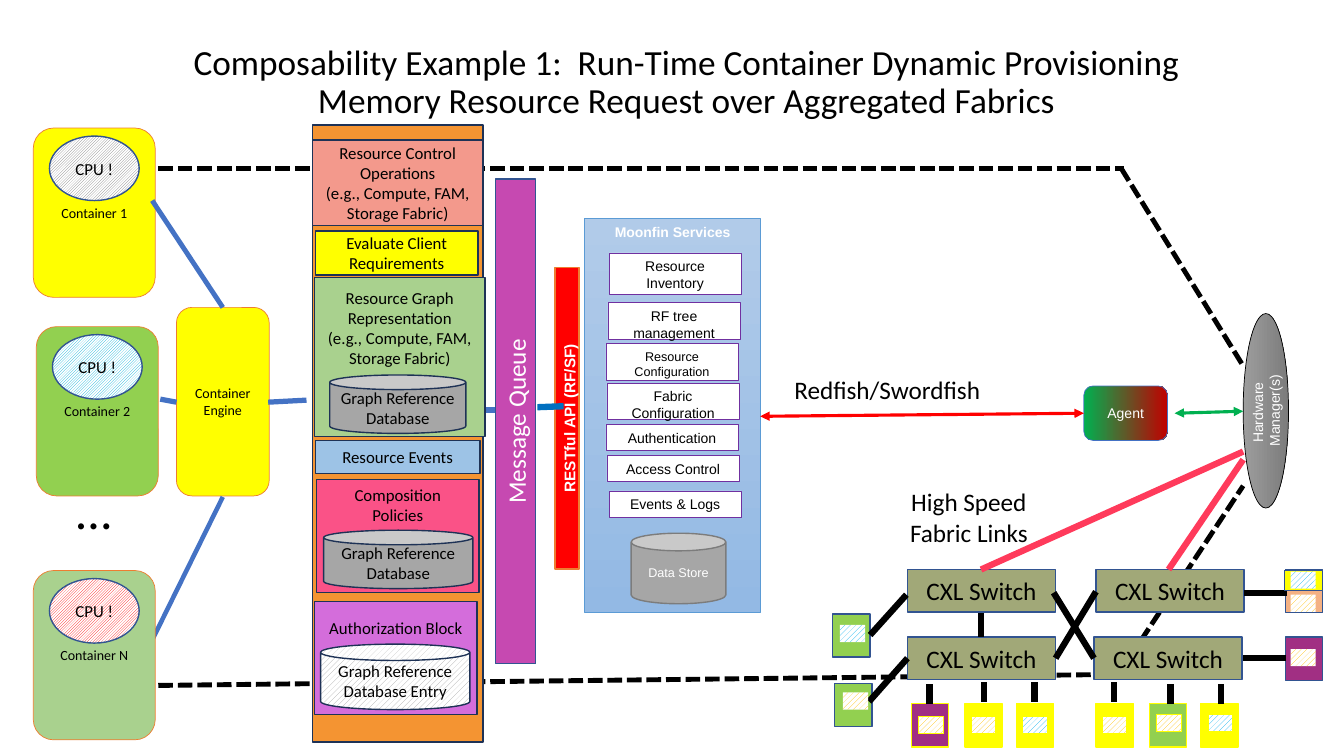
from lxml import etree
from pptx import Presentation
from pptx import util as u
from pptx.dml.color import RGBColor
from pptx.enum import dml, shapes, text
from pptx.oxml import ns

BLACK = RGBColor(0x00, 0x00, 0x00)
WHITE = RGBColor(0xFF, 0xFF, 0xFF)
YELLOW = RGBColor(0xFF, 0xFF, 0x00)
LIME = RGBColor(0x92, 0xD0, 0x50)
SAGE = RGBColor(0xA9, 0xD1, 0x8E)
GREEN = RGBColor(0x00, 0xB0, 0x50)
RED = RGBColor(0xFF, 0x00, 0x00)
MAROON = RGBColor(0xC0, 0x00, 0x00)
ROSE = RGBColor(0xFF, 0x3A, 0x5B)
RUST = RGBColor(0xED, 0x7D, 0x31)
BLUE = RGBColor(0x44, 0x72, 0xC4)
DEEP = RGBColor(0x00, 0x70, 0xC0)
NAVY = RGBColor(0x32, 0x54, 0x91)
INK = RGBColor(0x1E, 0x32, 0x56)
SKY = RGBColor(0x5B, 0x9B, 0xD5)
PALE = RGBColor(0xB1, 0xCB, 0xE9)
MIST = RGBColor(0x93, 0xB9, 0xE4)
CYAN = RGBColor(0x00, 0xAD, 0xD9)
AQUA = RGBColor(0x00, 0xB0, 0xF0)
GOLD = RGBColor(0xFF, 0xC0, 0x00)
VIOLET = RGBColor(0x70, 0x30, 0xA0)
PLUM = RGBColor(0xA1, 0x2F, 0x83)
ORCHID = RGBColor(0xC6, 0x49, 0xB1)
LILAC = RGBColor(0xD4, 0x6D, 0xDB)
OLIVE = RGBColor(0xA1, 0xA8, 0x78)
PEACH = RGBColor(0xF4, 0xB1, 0x83)
ORANGE = RGBColor(0xF4, 0x94, 0x32)
SALMON = RGBColor(0xF3, 0x99, 0x8C)
PINK = RGBColor(0xFA, 0x52, 0x87)
ICE = RGBColor(0x9D, 0xC3, 0xE6)
SILVER = RGBColor(0xA6, 0xA6, 0xA6)
ASH = RGBColor(0x9D, 0x9D, 0x9D)
GREY = RGBColor(0x7C, 0x7C, 0x7C)

KIND = shapes.MSO_SHAPE
ROUND, RECT, OVAL, CAN = KIND.ROUNDED_RECTANGLE, KIND.RECTANGLE, KIND.OVAL, KIND.CAN
MID, TOP = text.MSO_ANCHOR.MIDDLE, text.MSO_ANCHOR.TOP
MIDDLE, LEFT = text.PP_ALIGN.CENTER, text.PP_ALIGN.LEFT
LIGHT = dml.MSO_PATTERN.LIGHT_UPWARD_DIAGONAL
WIDE = dml.MSO_PATTERN.WIDE_UPWARD_DIAGONAL


def assign(item, values):
    for key, value in values.items():
        setattr(item, key, value)


def write(shape, words, size, ink=BLACK, face="Calibri", bold=False,
          anchor=MID, align=MIDDLE, top=0.05, pitch=None):
    frame = shape.text_frame
    frame.text = words
    assign(frame, {"word_wrap": True, "auto_size": text.MSO_AUTO_SIZE.NONE,
                   "vertical_anchor": anchor, "margin_top": u.Inches(top)})
    for para in frame.paragraphs:
        assign(para, {"alignment": align, "line_spacing": pitch})
        assign(para.font, {"size": u.Pt(size), "name": face, "bold": bold})
        para.font.color.rgb = ink
        for run in para.runs:
            assign(run.font, {"size": u.Pt(size), "name": face, "bold": bold})
            run.font.color.rgb = ink


def box(slide, kind, place, fill, edge=None, width=1, words="", size=12, turn=0, **style):
    shape = slide.shapes.add_shape(kind, *map(u.Inches, place))
    shape.shadow.inherit = False
    shape.rotation = turn
    shape.fill.solid()
    shape.fill.fore_color.rgb = fill
    if edge is None:
        shape.line.fill.background()
    else:
        shape.line.color.rgb = edge
        shape.line.width = u.Pt(width)
    if words:
        write(shape, words, size, **style)
    return shape


def label(slide, place, words, size, align=MIDDLE):
    write(slide.shapes.add_textbox(*map(u.Inches, place)), words, size, anchor=TOP, align=align)


def hatch(shape, ink, weave):
    shape.fill.patterned()
    shape.fill.pattern = weave
    shape.fill.fore_color.rgb = ink
    shape.fill.back_color.rgb = WHITE


def blend(shape, first, last, angle):
    shape.fill.gradient()
    shape.fill.gradient_angle = angle
    for stop, color, spot in zip(shape.fill.gradient_stops, (first, last), (0, 1)):
        stop.color.rgb = color
        stop.position = spot


def link(slide, ends, ink=BLACK, width=4.5, dash=False, arrows=False):
    line = slide.shapes.add_connector(shapes.MSO_CONNECTOR.STRAIGHT, *map(u.Inches, ends))
    line.line.color.rgb = ink
    line.line.width = u.Pt(width)
    if dash:
        line.line.dash_style = dml.MSO_LINE.SQUARE_DOT
    if arrows:
        pen = line.line._get_or_add_ln()
        for end in ("a:headEnd", "a:tailEnd"):
            etree.SubElement(pen, ns.qn(end), type="triangle")
    etree.SubElement(line._element.spPr, ns.qn("a:effectLst"))


def pod(slide, left, top, fill, name, ink):
    box(slide, ROUND, (left, top, 1.21, 1.68), fill, RUST, 0.5, name, 10)
    hatch(box(slide, OVAL, (left + 0.16, top + 0.08, 0.89, 0.64), WHITE, NAVY, 1, "CPU !"), ink, LIGHT)


def clients(slide):
    box(slide, ROUND, (1.75, 3.05, 0.92, 1.87), YELLOW, RUST, 0.5, "Container Engine", 10)
    pod(slide, 0.33, 1.27, YELLOW, "Container 1", GREY)
    label(slide, (0.33, 4.7, 1.2, 0.71), "…", 36)
    for ends, width in (((1.51, 1.99, 2.21, 3.05), 3.5), ((1.59, 3.96, 1.75, 3.99), 3.75),
                        ((1.46, 6.45, 2.21, 4.93), 3.25)):
        link(slide, ends, BLUE, width)
    pod(slide, 0.36, 3.24, LIME, "Container 2", CYAN)
    pod(slide, 0.33, 5.66, SAGE, "Container N", RED)


def services(slide):
    arial = {"face": "Arial", "ink": WHITE}
    panel = box(slide, RECT, (5.8, 2.17, 1.74, 3.91), PALE, SKY, 0.5, "Moonfin Services", 10,
                bold=True, anchor=TOP, **arial)
    blend(panel, PALE, MIST, 270)
    boss = box(slide, OVAL, (11.59, 3.85, 1.93, 0.45), ASH, BLACK, 0.5,
               "Hardware  Manager(s)", 10, turn=270, **arial)
    blend(boss, ASH, GREY, 270)
    agent = box(slide, ROUND, (10.75, 3.83, 0.83, 0.54), GREEN, BLUE, 0.5, "Agent", 10, **arial)
    blend(agent, GREEN, MAROON, 0)
    for left, top, high, size, name in (
            (6.04, 2.51, 0.41, 10, "Resource Inventory"), (6.03, 3, 0.37, 10, "RF tree management"),
            (6.01, 3.41, 0.36, 9, "Resource Configuration"),
            (6.02, 3.8, 0.36, 10, "Fabric Configuration"), (6.01, 4.21, 0.26, 10, "Authentication"),
            (6.02, 4.52, 0.26, 10, "Access Control"), (6.04, 4.87, 0.26, 10, "Events & Logs")):
        box(slide, RECT, (left, top, 1.31, high), WHITE, VIOLET, 0.5, name, size,
            face="Arial", anchor=TOP)
    box(slide, RECT, (4.13, 4.03, 2.99, 0.24), RED, RUST, 1, "RESTful API (RF/SF)", 11, 270,
        bold=True, anchor=TOP, **arial)
    box(slide, CAN, (6.26, 5.29, 0.94, 0.7), SILVER, GREY, 1, "Data Store", 9, **arial)
    link(slide, (7.54, 4.13, 10.75, 4.1), RED, 2.25, arrows=True)
    link(slide, (11.65, 4.1, 12.33, 4.08), GREEN, 2.25, arrows=True)


def fabric(slide):
    for ends in ((1.57, 1.67, 11.15, 1.67), (11.12, 1.67, 12.33, 3.63),
                 (1.57, 6.8, 11.15, 6.69), (11.1, 6.68, 12.33, 4.82)):
        link(slide, ends, width=3.5, dash=True)
    for left, top in ((10.87, 5.65), (9, 5.65), (10.85, 6.32), (9, 6.32)):
        box(slide, RECT, (left, top, 1.47, 0.42), OLIVE, NAVY, 1, "CXL Switch", 18)
    units = (
        (12.75, 5.65, PEACH, NAVY, 12.8, 5.9, GOLD), (12.75, 6.32, PLUM, NAVY, 12.8, 6.44, GOLD),
        (11.91, 6.98, YELLOW, YELLOW, 11.98, 7.09, AQUA), (11.4, 6.98, LIME, YELLOW, 11.47, 7.09, GOLD),
        (10.87, 6.98, YELLOW, YELLOW, 10.93, 7.11, GOLD), (10.08, 6.98, YELLOW, YELLOW, 10.14, 7.11, AQUA),
        (9.57, 6.98, YELLOW, YELLOW, 9.63, 7.11, GOLD), (9.04, 6.98, PLUM, YELLOW, 9.11, 7.11, GOLD),
        (8.26, 6.09, LIME, NAVY, 8.33, 6.2, AQUA), (8.28, 6.78, LIME, NAVY, 8.36, 6.87, GOLD))
    for left, top, fill, edge, *_ in units:
        box(slide, RECT, (left, top, 0.37, 0.43), fill, edge)
    link(slide, (12.33, 4.48, 9.73, 5.65), ROSE)
    for left, top in ((9.22, 6.79), (9.76, 6.77), (10.26, 6.77),
                      (11.05, 6.77), (11.61, 6.79), (12.11, 6.79)):
        link(slide, (left, top, left, top + 0.19))
    for ends in ((9.73, 6.08, 9.73, 6.32), (12.33, 6.53, 12.75, 6.53), (12.34, 5.88, 12.76, 5.88),
                 (8.63, 6.3, 8.99, 5.9), (8.62, 6.96, 9, 6.53),
                 (10.45, 5.88, 10.85, 6.53), (10.87, 5.87, 10.47, 6.53)):
        link(slide, ends)
    box(slide, RECT, (12.74, 5.66, 0.38, 0.2), YELLOW, NAVY)
    chips = [(left, top, ink, edge) for *_, edge, left, top, ink in units]
    for left, top, ink, edge in chips + [(12.8, 5.67, AQUA, NAVY)]:
        rim = YELLOW if edge == YELLOW else None
        hatch(box(slide, RECT, (left, top, 0.25, 0.17), WHITE, rim), ink, WIDE)
    link(slide, (12.33, 4.56, 11.59, 5.65), ROSE)
    label(slide, (8.74, 4.78, 1.74, 0.71), "High Speed Fabric Links", 18)
    label(slide, (7.78, 3.66, 3.01, 0.4), "Redfish/Swordfish", 18, LEFT)


def stack(slide):
    box(slide, RECT, (2.71, 3.98, 4.81, 0.4), ORCHID, NAVY, 1, "Message Queue", 18, 270, ink=WHITE)
    link(slide, (5.33, 4.04, 5.59, 4.03), DEEP)
    link(slide, (2.66, 3.99, 3.04, 3.97), BLUE, 3.75)
    box(slide, RECT, (3.1, 1.24, 1.69, 6.12), ORANGE, INK)
    link(slide, (4.79, 4.07, 4.91, 4.07), BLUE)
    scope = "\n(e.g., Compute, FAM, Storage Fabric)"
    for place, fill, words, anchor, top in (
            ((3.1, 1.39, 1.69, 0.85), SALMON, "Resource Control Operations" + scope, MID, 0.05),
            ((3.13, 2.29, 1.61, 0.44), YELLOW, "Evaluate Client Requirements", MID, 0.05),
            ((3.12, 2.75, 1.69, 1.58), SAGE, "Resource Graph Representation" + scope, TOP, 0.1),
            ((3.13, 4.37, 1.63, 0.33), ICE, "Resource Events", MID, 0.05),
            ((3.14, 4.76, 1.61, 1.12), PINK, "Composition\nPolicies", TOP, 0.05),
            ((3.12, 5.97, 1.61, 1.12), LILAC, "Authorization Block", TOP, 0.16)):
        box(slide, RECT, place, fill, INK, 1, words, anchor=anchor, top=top)
    base = "Graph Reference Database"
    for place in ((3.27, 3.72, 1.35, 0.58), (3.21, 5.26, 1.48, 0.58)):
        box(slide, CAN, place, SILVER, INK, 1, base)
    hatch(box(slide, CAN, (3.18, 6.39, 1.48, 0.65), WHITE, INK, 1, base + " Entry"), SILVER, WIDE)


def main():
    deck = Presentation()
    assign(deck, {"slide_width": u.Inches(13.33), "slide_height": u.Inches(7.5)})
    slide = deck.slides.add_slide(deck.slide_layouts[5])
    title = slide.shapes.title
    assign(title, dict(zip(("left", "top", "width", "height"), map(u.Inches, (0.37, 0.39, 12.88, 0.87)))))
    write(title, "Composability Example 1:  Run-Time Container Dynamic Provisioning\v"
          "Memory Resource Request over Aggregated Fabrics", 25.2, pitch=0.9)
    clients(slide)
    services(slide)
    fabric(slide)
    stack(slide)
    deck.save("out.pptx")


if __name__ == "__main__":
    main()
